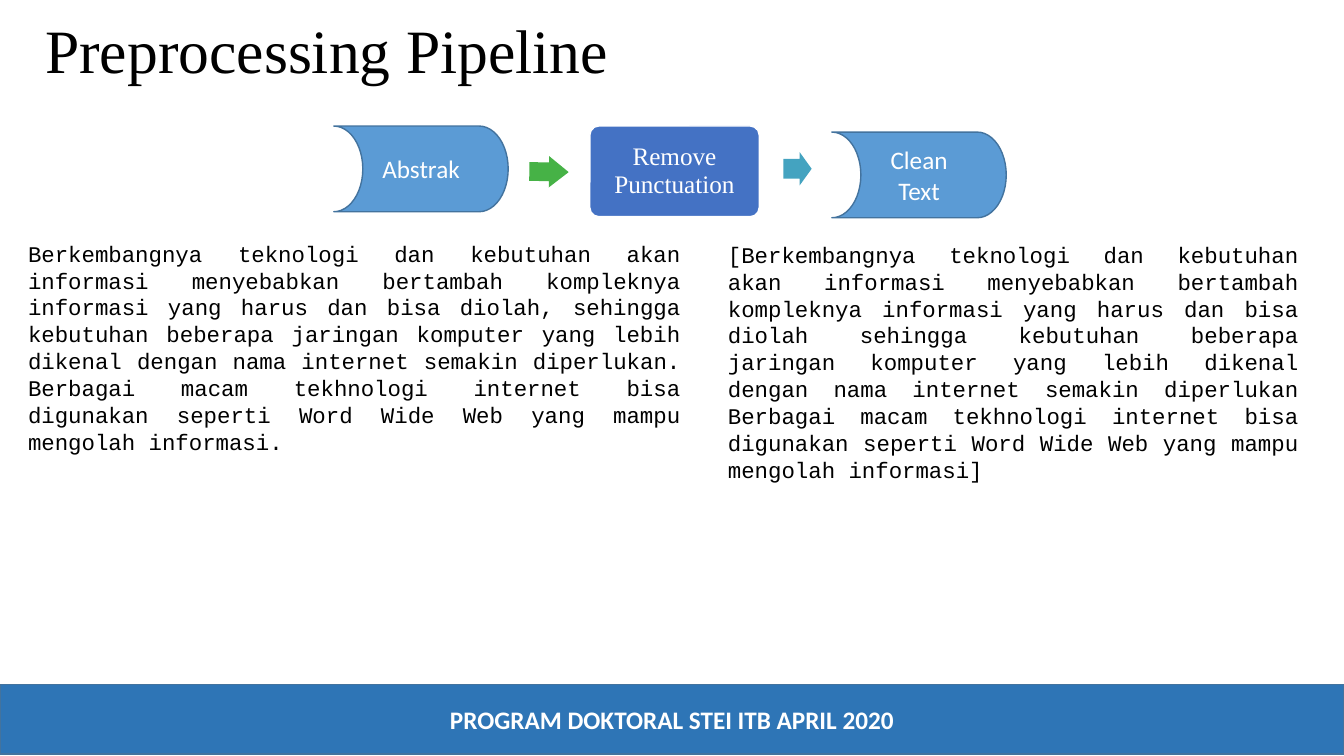
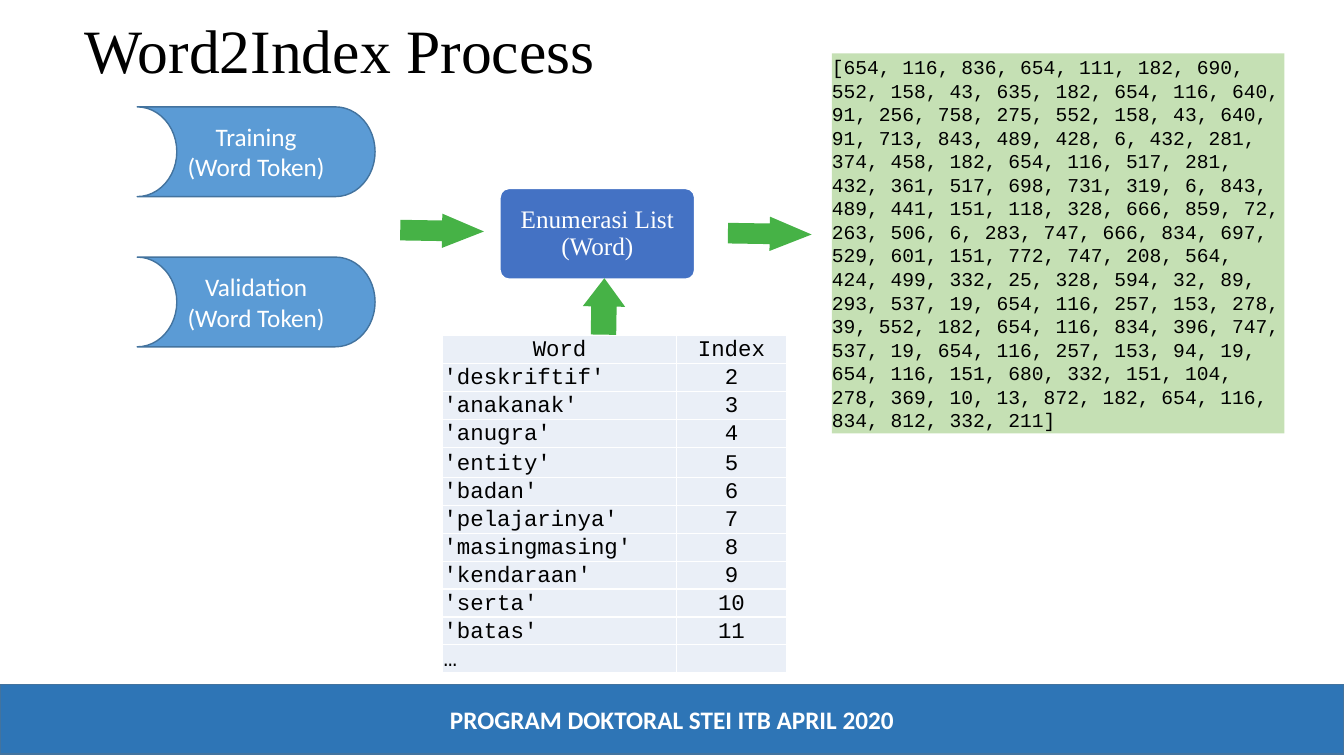
from pptx import Presentation
from pptx.dml.color import RGBColor
from pptx.enum.shapes import MSO_SHAPE as Kind
from pptx.enum.text import MSO_ANCHOR as Anchor, PP_ALIGN as Align
from pptx.oxml import parse_xml
from pptx.oxml.ns import nsdecls
from pptx.util import Inches, Pt

BLACK, WHITE = "000000", "FFFFFF"
BAND, OUTLINE, DATA = "2E75B6", "43739E", "5B9BD5"
STEP, GREEN, TEAL = "4472C4", "46B246", "44A3C0"
LIST_FILL, CELL_FILL = "C5E0B4", "EAEFF7"
SANS, SERIF, MONO = "Calibri", "Times New Roman", "Courier New"
FOOTER = "PROGRAM DOKTORAL STEI ITB APRIL 2020"


def rgb(value):
    return RGBColor.from_string(value)


def add_block(page, kind, at, text="", font=SANS, size=18, color=WHITE, fill=None,
              line=None, align=Align.CENTER, anchor=Anchor.MIDDLE, inset=None,
              spacing=None, bold=False):
    """Add a preset shape, or a text box when kind is None, with its styled text."""
    place = [Inches(length) for length in at]
    if kind is None:
        box = page.shapes.add_textbox(*place)
    else:
        box = page.shapes.add_shape(kind, *place)
        box.shadow.inherit = False
    if fill:
        box.fill.solid()
        box.fill.fore_color.rgb = rgb(fill)
    if line:
        box.line.color.rgb = rgb(line)
        box.line.width = Pt(1)
    else:
        box.line.fill.background()
    frame = box.text_frame
    frame.word_wrap = True
    frame.vertical_anchor = anchor
    if inset is not None:
        frame.margin_left = frame.margin_right = Inches(inset)
        frame.margin_top = frame.margin_bottom = Inches(inset)
    frame.text = text
    for para in frame.paragraphs:
        para.alignment = align
        para.line_spacing = spacing
        for span in para.runs:
            span.font.name = font
            span.font.size = Pt(size)
            span.font.bold = bold
            span.font.color.rgb = rgb(color)
    return box


deck = Presentation()
deck.slide_width, deck.slide_height = Inches(13.33), Inches(7.5)

# Title, footer band and flow shapes
flows = [
    {
        "title": ("Preprocessing Pipeline", 0.35),
        "data": [((3.31, 1.25, 1.73, 0.85), "Abstrak"),
                 ((8.25, 1.31, 1.73, 0.85), "Clean Text")],
        "step": ((5.85, 1.25, 1.68, 0.9), "Remove Punctuation"),
        "arrows": [((5.25, 1.55, 0.39, 0.31), 0.9, GREEN),
                   ((7.77, 1.51, 0.28, 0.33), 0, TEAL)],
    },
    {
        "title": ("Word2Index Process", 0.74),
        "data": [((1.36, 1.06, 2.36, 0.89), "Training\n(Word Token)"),
                 ((1.36, 2.55, 2.36, 0.89), "Validation\n(Word Token)")],
        "step": ((4.96, 1.87, 1.93, 0.9), "Enumerasi List (Word)"),
        "arrows": [((3.97, 2.12, 0.83, 0.34), 0.9, GREEN),
                   ((7.22, 2.15, 0.83, 0.34), 0.9, GREEN),
                   ((5.71, 2.83, 0.56, 0.42), 270.9, GREEN)],
    },
]
pages = []
for flow in flows:
    page = deck.slides.add_slide(deck.slide_layouts[6])
    pages.append(page)
    title, left = flow["title"]
    add_block(page, None, (left, 0, 11.5, 1.06), title, SERIF, 44, BLACK,
              align=Align.LEFT, spacing=0.9)
    add_block(page, Kind.RECTANGLE, (0, 6.79, 13.33, 0.69), FOOTER,
              fill=BAND, line=OUTLINE, bold=True)
    for at, text in flow["data"]:
        store = add_block(page, Kind.FLOWCHART_STORED_DATA, at, text,
                          fill=DATA, line=OUTLINE)
        # Half a turn plus a vertical flip mirrors the outline and keeps text upright
        store.rotation = 180
        store._element.spPr.get_or_add_xfrm().set("flipV", "1")
    at, text = flow["step"]
    step = add_block(page, Kind.ROUNDED_RECTANGLE, at, text, SERIF,
                     fill=STEP, line=WHITE, inset=0.1, spacing=0.9)
    step.adjustments[0] = 0.1
    for at, turn, color in flow["arrows"]:
        arrow = add_block(page, Kind.RIGHT_ARROW, at, fill=color)
        arrow.rotation = turn
        arrow.adjustments[0] = 0.6
        arrow.adjustments[1] = at[2] / 2 / at[3]  # head takes half the length
pipeline, indexing = pages

# Text before and after punctuation removal
abstract = (
    "Berkembangnya teknologi dan kebutuhan akan informasi menyebabkan bertambah "
    "kompleknya informasi yang harus dan bisa diolah, sehingga kebutuhan beberapa "
    "jaringan komputer yang lebih dikenal dengan nama internet semakin diperlukan. "
    "Berbagai macam tekhnologi internet bisa digunakan seperti Word Wide Web yang "
    "mampu mengolah informasi."
)
clean_text = "[" + abstract.replace(",", "").replace(".", "") + "]"
add_block(pipeline, None, (0.18, 2.33, 6.67, 2.26), abstract, MONO, 16, BLACK,
          align=Align.JUSTIFY, anchor=Anchor.TOP)
add_block(pipeline, Kind.RECTANGLE, (7.22, 2.38, 5.66, 2.42), clean_text, MONO, 16,
          BLACK, fill=WHITE, align=Align.JUSTIFY, inset=0)

# Indexed words
indices = (
    "[654, 116, 836, 654, 111, 182, 690, 552, 158, 43, 635, 182, 654, 116, 640, 91, "
    "256, 758, 275, 552, 158, 43, 640, 91, 713, 843, 489, 428, 6, 432, 281, 374, 458, "
    "182, 654, 116, 517, 281, 432, 361, 517, 698, 731, 319, 6, 843, 489, 441, 151, "
    "118, 328, 666, 859, 72, 263, 506, 6, 283, 747, 666, 834, 697, 529, 601, 151, "
    "772, 747, 208, 564, 424, 499, 332, 25, 328, 594, 32, 89, 293, 537, 19, 654, 116, "
    "257, 153, 278, 39, 552, 182, 654, 116, 834, 396, 747, 537, 19, 654, 116, 257, "
    "153, 94, 19, 654, 116, 151, 680, 332, 151, 104, 278, 369, 10, 13, 872, 182, 654, "
    "116, 834, 812, 332, 211]"
)
add_block(indexing, Kind.RECTANGLE, (8.25, 0.53, 4.49, 3.77), indices, MONO, 14,
          BLACK, fill=LIST_FILL, align=Align.LEFT, inset=0)

# Vocabulary table
words = ["deskriftif", "anakanak", "anugra", "entity", "badan", "pelajarinya",
         "masingmasing", "kendaraan", "serta", "batas"]
rows = [("Word", "Index")]
rows += [(f"'{word}'", str(index)) for index, word in enumerate(words, start=2)]
rows.append(("…", ""))
table = indexing.shapes.add_table(len(rows), 2, Inches(4.39), Inches(3.33),
                                  Inches(3.41), Inches(3.16)).table
table.first_row = table.horz_banding = False
for column, width in zip(table.columns, (2.32, 1.09)):
    column.width = Inches(width)
for row_number, values in enumerate(rows):
    table.rows[row_number].height = Inches(0.3 if values[0] == "'entity'" else 0.26)
    for column_number, value in enumerate(values):
        cell = table.cell(row_number, column_number)
        cell.fill.solid()
        cell.fill.fore_color.rgb = rgb(CELL_FILL)
        cell.vertical_anchor = Anchor.BOTTOM
        cell.margin_left = cell.margin_right = cell.margin_top = Inches(0.01)
        cell.margin_bottom = 0
        cell.text = value
        para = cell.text_frame.paragraphs[0]
        centred = row_number == 0 or column_number == 1
        para.alignment = Align.CENTER if centred else Align.LEFT
        for span in para.runs:
            span.font.name = MONO
            span.font.size = Pt(16)
            span.font.color.rgb = rgb(BLACK)
        if not value:  # keeps the empty cell from stretching its row
            para._p.append(parse_xml(f'<a:endParaRPr {nsdecls("a")} sz="1600"/>'))

deck.save("out.pptx")
